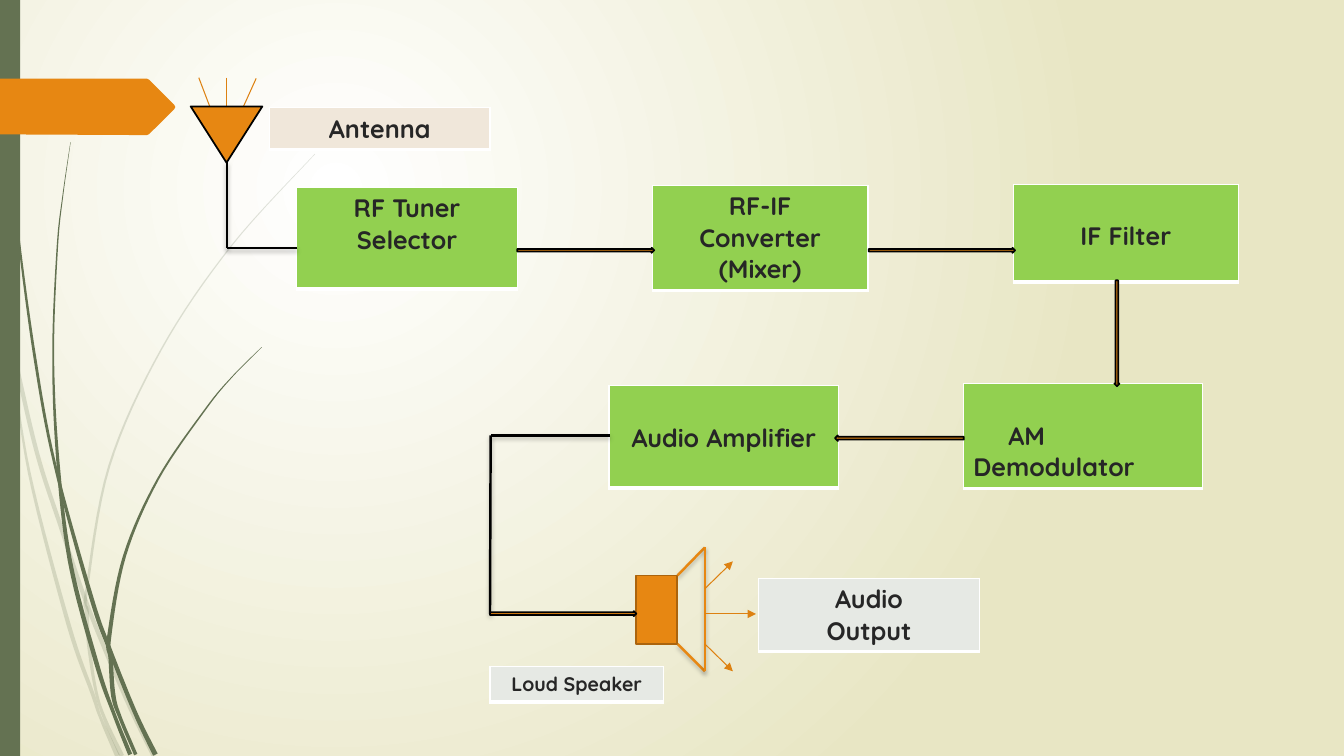
"""Build a block diagram slide of an AM radio receiver, from antenna to loudspeaker."""
import math
from dataclasses import dataclass

import pptx
import pptx.dml.color
import pptx.enum.shapes
import pptx.enum.text
import pptx.oxml
import pptx.oxml.ns
import pptx.util

Pt = pptx.util.Pt
SHAPE = pptx.enum.shapes.MSO_SHAPE
ALIGN = pptx.enum.text.PP_ALIGN
NAMESPACE = 'xmlns:a="http://schemas.openxmlformats.org/drawingml/2006/main"'
COLORS = {
    "white": "FFFFFF", "cream": "E8E6C4", "moss": "647252", "orange": "E78712",
    "amber": "DD8111", "brown": "AB640D", "black": "000000", "ink": "262626",
    "green": "92D050", "sand": "F0E7DA", "mist": "E6E9E4",
}
SHADOW = (
    '<a:outerShdw blurRad="38100" dist="25400" dir="5400000" rotWithShape="0">'
    '<a:srgbClr val="000000"><a:alpha val="25000"/></a:srgbClr></a:outerShdw>'
)


@dataclass
class Block:
    text: str
    left: float
    top: float
    width: float
    height: float
    fill: str = "green"
    size: float = 18
    margin_top: float = 3.6
    indent: float = 0
    align: ALIGN = ALIGN.CENTER


@dataclass
class Wire:
    start: tuple[float, float]
    end: tuple[float, float]
    color: str = "black"
    width: float = 1.75
    shadow: bool = True
    arrow: bool = False


@dataclass
class Symbol:
    kind: SHAPE
    left: float
    top: float
    width: float
    height: float
    fill: str = "orange"
    line: str | None = "black"
    rotation: float = 0


@dataclass
class Stem:
    nodes: list[tuple[float, float, float]]
    opacity: int = 100


STEMS = [
    Stem([(2, 213, 3), (9, 248, 3), (26, 322, 3), (43, 375, 3), (63, 434, 3),
          (90, 499, 3), (110, 540, 3.6)], 20),
    Stem([(8, 252, 0.5), (21, 338, 2), (49, 446, 3), (66, 495, 2.7),
          (72, 513, 2), (84, 540, 3.5)], 20),
    Stem([(225, 110, 0.3), (165, 176, 0.8), (115, 250, 1), (78, 333, 1.5),
          (62, 421, 2), (62, 437, 3), (64, 465, 2.5), (71, 503, 2), (87, 540, 3.5)], 20),
    Stem([(2.5, 0, 0.5), (4.5, 79, 0.8), (13, 167, 1.4), (25, 256, 2), (39, 331, 2),
          (65, 426, 3), (78, 463, 3), (96.5, 509, 3), (111, 539, 3.6)]),
    Stem([(50.4, 101.5, 0.2), (45, 139, 0.6), (41, 176, 1), (38, 251, 1.3),
          (41, 325, 2.2), (50, 401, 3), (69, 474, 3.2), (81, 509, 2.5), (93, 539, 3)]),
    Stem([(187, 248, 0.3), (166, 269, 0.6), (147, 292, 1), (113, 342, 1.4), (89, 397, 2.2),
          (78, 455, 3), (79, 470, 3), (81, 497, 3.2), (86, 513, 2.5), (97, 539, 2.5)]),
]
BANNER = [(0, 56.2), (105, 56.2), (106.5, 57), (124.5, 75), (125.2, 76.5),
          (124.5, 78), (106.5, 95.8), (105, 96.5), (0, 96)]
BLOCKS = [
    Block("RF Tuner\vSelector", 212, 134, 157.5, 72.5),
    Block("RF-IF\vConverter\v(Mixer)", 466, 132.5, 154, 74),
    Block("AM Demodulator", 688, 274, 171, 71.5, margin_top=26.1, indent=25, align=ALIGN.LEFT),
    Block("Audio Amplifier", 435, 275.5, 164, 73.2, margin_top=26.1),
    Block("IF Filter", 723.8, 131.5, 160.8, 69.8, margin_top=26.1),
    Block("Antenna", 192.5, 77, 157.5, 28.5, "sand"),
    Block("Audio\vOutput", 542, 413, 157.5, 50, "mist"),
    Block("Loud Speaker", 350, 476, 124, 25.2, "mist", 14),
]
SYMBOLS = [
    Symbol(SHAPE.ISOSCELES_TRIANGLE, 136.2, 76, 51.2, 40.2, rotation=180),
    Symbol(SHAPE.RIGHT_ARROW, 369.5, 177, 97.8, 3.6),
    Symbol(SHAPE.RIGHT_ARROW, 620.5, 177, 104.5, 3.6),
    Symbol(SHAPE.DOWN_ARROW, 796, 200.2, 3.6, 75.6),
    Symbol(SHAPE.LEFT_ARROW, 596.5, 311, 92, 4),
    Symbol(SHAPE.RECTANGLE, 454.5, 411, 29, 49, line="brown"),
    Symbol(SHAPE.RIGHT_ARROW, 350, 436.5, 104.5, 3.6),
]
WIRES = [
    Wire((212.5, 177), (162, 177)),
    Wire((162, 177), (162, 116)),
    *[Wire(start, end, "amber", 0.75, False) for start, end in (
        ((142, 55.5), (150, 76.5)), ((173.5, 77), (183, 56)), ((162, 55.5), (162, 76.5)))],
    Wire((484, 411), (503.5, 391), "orange"),
    Wire((484, 460), (503.5, 479.5), "orange"),
    Wire((503.5, 479.5), (503.5, 391), "orange"),
    *[Wire((503.5, start), (x, y), "amber", 0.75, False, True) for start, x, y in (
        (420.5, 523.5, 401), (438.5, 540, 438.5), (460, 523.5, 479.5))],
    Wire((350, 438.5), (350.5, 311)),
    Wire((435.5, 311), (350.5, 311)),
]


def rgb(name: str) -> pptx.dml.color.RGBColor:
    return pptx.dml.color.RGBColor.from_string(COLORS[name])


def element(markup: str):
    return pptx.oxml.parse_xml(markup.replace(">", f" {NAMESPACE}>", 1))


def paint_background(slide) -> None:
    fill = slide.background.fill
    fill.gradient()
    for stop, position, name in zip(fill.gradient_stops, (0, 1), ("white", "cream")):
        stop.position, stop.color.rgb = position, rgb(name)
    linear = next(slide.element.iter(pptx.oxml.ns.qn("a:lin")))
    linear.getparent().replace(linear, element(
        '<a:path path="circle" ><a:fillToRect l="50000" t="50000" r="100000" b="100000"/></a:path>'))


def smooth(nodes: list[tuple[float, float, float]], steps: int = 8) -> list[tuple]:
    padded = [nodes[0], *nodes, nodes[-1]]
    points = []
    for before, start, end, after in zip(padded, padded[1:], padded[2:], padded[3:]):
        for t in (step / steps for step in range(steps)):
            points.append(tuple(
                b + t * (c - a + t * (2 * a - 5 * b + 4 * c - d + t * (3 * b - a - 3 * c + d))) / 2
                if axis < 2 else b + t * (c - b)
                for axis, (a, b, c, d) in enumerate(zip(before, start, end, after))))
    return [*points, nodes[-1]]


def draw_outline(slide, points: list[tuple[float, float]], color: str, opacity: int = 100) -> None:
    corners = [(Pt(x), Pt(y)) for x, y in points]
    builder = slide.shapes.build_freeform(*corners[0])
    builder.add_line_segments(corners[1:], close=True)
    outline = builder.convert_to_shape()
    outline.shadow.inherit = False
    outline.line.fill.background()
    outline.fill.solid()
    outline.fill.fore_color.rgb = rgb(color)
    if opacity < 100:
        shade = next(outline.element.spPr.iter(pptx.oxml.ns.qn("a:srgbClr")))
        shade.append(element(f'<a:alpha val="{opacity * 1000}" ></a:alpha>'))


def draw_stem(slide, stem: Stem) -> None:
    points = smooth(stem.nodes)
    left, right = [], []
    for index, (x, y, width) in enumerate(points):
        back, ahead = points[max(index - 1, 0)], points[min(index + 1, len(points) - 1)]
        angle = math.atan2(ahead[1] - back[1], ahead[0] - back[0])
        dx, dy = math.sin(angle) * width / 2, math.cos(angle) * width / 2
        left.append((x - dx, y + dy))
        right.append((x + dx, y - dy))
    draw_outline(slide, left + right[::-1], "moss", stem.opacity)


def draw_block(slide, block: Block) -> None:
    frame = (Pt(value) for value in (block.left, block.top, block.width, block.height))
    table = slide.shapes.add_table(1, 1, *frame).table
    table.first_row = table.horz_banding = False
    cell = table.cell(0, 0)
    cell.margin_top = Pt(block.margin_top)
    for side, width in {"L": 1, "R": 1, "T": 1, "B": 3}.items():
        cell._tc.get_or_add_tcPr().append(element(
            f'<a:ln{side} w="{Pt(width)}"><a:solidFill><a:srgbClr val="{COLORS["white"]}"/>'
            f'</a:solidFill></a:ln{side}>'))
    cell.fill.solid()
    cell.fill.fore_color.rgb = rgb(block.fill)
    para = cell.text_frame.paragraphs[0]
    para.text = block.text
    para.alignment = block.align
    if block.indent:
        para._p.get_or_add_pPr().set("indent", str(Pt(block.indent)))
    for span in para.runs:
        for name, value in {"name": "Quicksand", "size": Pt(block.size), "bold": True}.items():
            setattr(span.font, name, value)
        span.font.color.rgb = rgb("ink")


def draw_symbol(slide, symbol: Symbol) -> None:
    frame = (Pt(value) for value in (symbol.left, symbol.top, symbol.width, symbol.height))
    shape = slide.shapes.add_shape(symbol.kind, *frame)
    shape.shadow.inherit = False
    shape.rotation = symbol.rotation
    shape.fill.solid()
    shape.fill.fore_color.rgb = rgb(symbol.fill)
    if symbol.line:
        shape.line.color.rgb = rgb(symbol.line)
        shape.line.width = Pt(1.25)
    else:
        shape.line.fill.background()


def draw_wire(slide, wire: Wire) -> None:
    ends = (Pt(value) for value in (*wire.start, *wire.end))
    line = slide.shapes.add_connector(pptx.enum.shapes.MSO_CONNECTOR.STRAIGHT, *ends)
    line.line.color.rgb = rgb(wire.color)
    line.line.width = Pt(wire.width)
    properties = line._element.spPr
    if wire.arrow:
        properties.find(pptx.oxml.ns.qn("a:ln")).append(
            element('<a:tailEnd type="triangle" ></a:tailEnd>'))
    properties.append(element(f'<a:effectLst>{SHADOW if wire.shadow else ""}</a:effectLst>'))


def main() -> None:
    deck = pptx.Presentation()
    deck.slide_width, deck.slide_height = Pt(960), Pt(540)
    page = deck.slides.add_slide(deck.slide_layouts[6])
    paint_background(page)
    for stem in STEMS:
        draw_stem(page, stem)
    draw_symbol(page, Symbol(SHAPE.RECTANGLE, 0, 0, 14.4, 540, "moss", None))
    draw_outline(page, BANNER, "orange")
    for items, draw in ((BLOCKS, draw_block), (WIRES, draw_wire), (SYMBOLS, draw_symbol)):
        for item in items:
            draw(page, item)
    deck.save("out.pptx")


if __name__ == "__main__":
    main()
